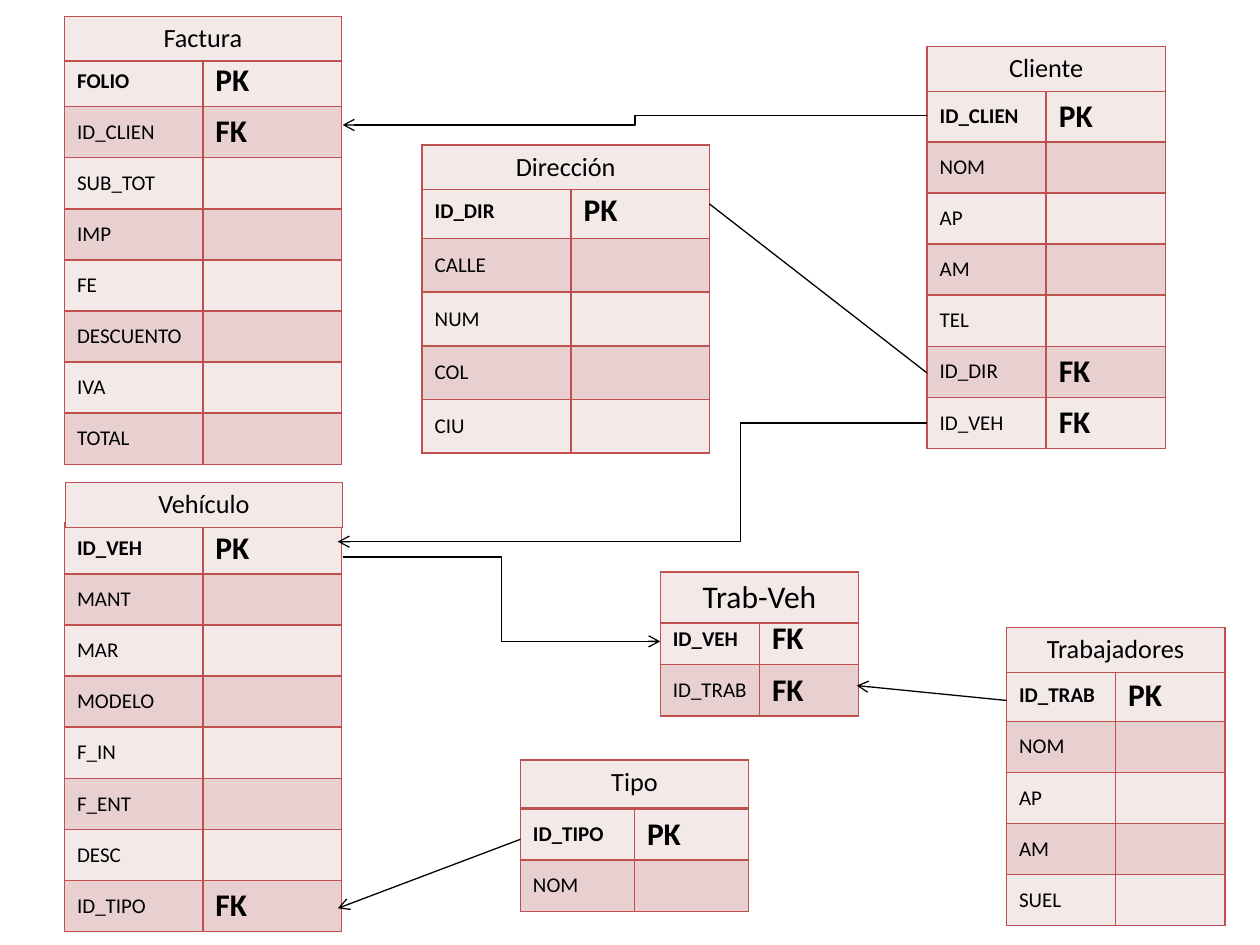
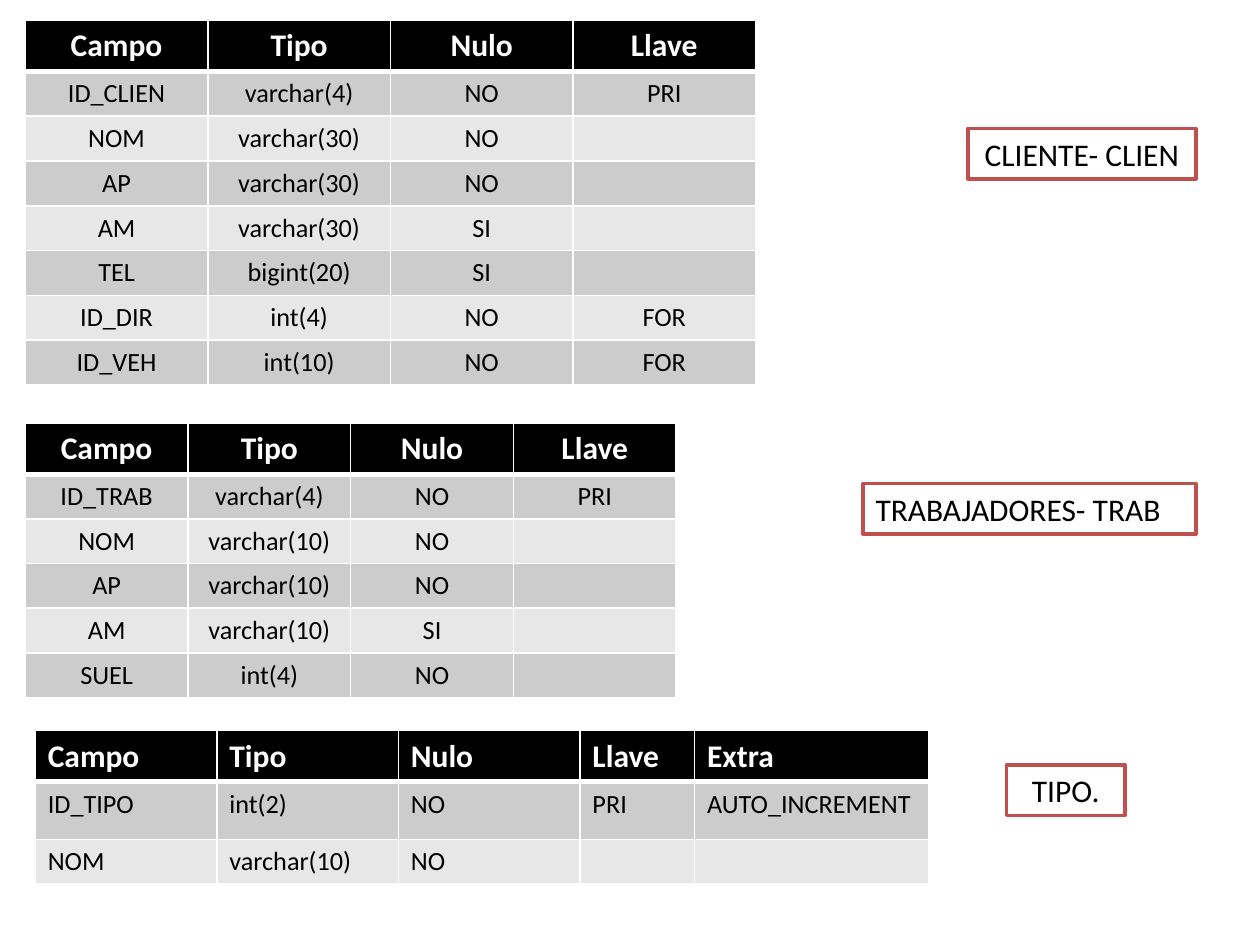
"""Builds two slides: an entity diagram of a workshop database and its field definitions."""
from lxml import etree
from pptx import Presentation
from pptx import util as u
from pptx.dml import color
from pptx.enum import shapes, text
from pptx.oxml import ns

RED, BLACK, WHITE = "C0504D", "000000", "FFFFFF"
ROSE = ("F4E9E9", "E8D0D0")
GREY = ("CCCCCC", "E7E7E7")
FONT = "Calibri"
CENTER, LEFT = text.PP_ALIGN.CENTER, text.PP_ALIGN.LEFT
TOP, MIDDLE = text.MSO_ANCHOR.TOP, text.MSO_ANCHOR.MIDDLE
ROW = 1.03
SMALL_ROW = 0.9


def rgb(value):
    """Turn a hex string into a colour."""
    return color.RGBColor.from_string(value)


def child(parent, tag, **attributes):
    """Append a drawing element."""
    return etree.SubElement(parent, ns.qn(f"a:{tag}"), **attributes)


class Deck:
    """Holds the shared style and the current slide."""

    def __init__(self):
        """Open an empty presentation of 4:3 slides."""
        self.presentation = Presentation()
        self.presentation.slide_width = u.Cm(25.4)
        self.presentation.slide_height = u.Cm(19.05)
        self.slide = None

    def new_slide(self):
        """Start a blank slide."""
        self.slide = self.presentation.slides.add_slide(self.presentation.slide_layouts[6])

    def fill_paragraph(self, paragraph, words, size, ink=BLACK, bold=False, align=LEFT):
        """Fill one paragraph, keeping the size of an empty one."""
        paragraph.alignment = align
        if not words:
            child(paragraph._p, "endParaRPr", sz=str(size * 100))
            return
        run = paragraph.add_run()
        run.text = words
        for name, value in {"name": FONT, "size": u.Pt(size), "bold": bold}.items():
            setattr(run.font, name, value)
        run.font.color.rgb = rgb(ink)

    def border(self, cell, ink, top, bottom):
        """Draw the four edges of a cell."""
        properties = cell._tc.get_or_add_tcPr()
        widths = {"lnL": 1, "lnR": 1, "lnT": top, "lnB": bottom}
        for index, (tag, width) in enumerate(widths.items()):
            edge = child(properties, tag, w=str(u.Pt(width)))
            child(child(edge, "solidFill"), "srgbClr", val=ink)
            properties.insert(index, edge)

    def table(self, left, top, widths, heights, rows, look, edge):
        """Add a table whose cell formats come from look(row, column)."""
        frame = self.slide.shapes.add_table(
            len(rows), len(widths), u.Cm(left), u.Cm(top), u.Cm(sum(widths)), u.Cm(sum(heights)))
        table = frame.table
        table.first_row = table.horz_banding = False
        for column, width in zip(table.columns, widths):
            column.width = u.Cm(width)
        for r, (row, height) in enumerate(zip(rows, heights)):
            table.rows[r].height = u.Cm(height)
            for c, words in enumerate(row):
                style = dict(look(r, c))
                cell = table.cell(r, c)
                cell.fill.solid()
                cell.fill.fore_color.rgb = rgb(style.pop("fill"))
                cell.vertical_anchor = style.pop("anchor", TOP)
                self.border(cell, edge, style.pop("over", 1), style.pop("under", 1))
                self.fill_paragraph(cell.text_frame.paragraphs[0], words, **style)

    def entity(self, left, top, widths, fields, row_height=ROW):
        """Add the field table of an entity; fields read 'NAME KEY'."""
        def look(r, c):
            style = {"fill": ROSE[r % 2]}
            if c:
                return style | {"size": 18, "bold": True}
            return style | {"size": 12, "bold": r == 0, "anchor": MIDDLE}

        rows = [field.partition(" ")[::2] for field in fields.split("|")]
        self.table(left, top, widths, [row_height] * len(rows), rows, look, RED)

    def entity_title(self, left, top, width, name, size=15, height=SMALL_ROW):
        """Add the one-cell heading of an entity."""
        style = {"fill": ROSE[0], "size": size, "align": CENTER}
        self.table(left, top, [width], [height], [[name]], lambda r, c: style, RED)

    def definition(self, left, top, widths, heights, lines, align=CENTER):
        """Add a field definition table with a black header."""
        def look(r, c):
            if r == 0:
                return {"fill": BLACK, "size": 18, "ink": WHITE, "bold": True,
                        "align": align, "under": 3}
            return {"fill": GREY[(r - 1) % 2], "size": 15, "align": align,
                    "over": 3 if r == 1 else 1}

        rows = [line.split("|") for line in lines]
        self.table(left, top, widths, heights, rows, look, WHITE)

    def relation(self, begin, end, bent=False, arrow=True, bend=None):
        """Join two points with a straight or bent line."""
        kind = shapes.MSO_CONNECTOR.ELBOW if bent else shapes.MSO_CONNECTOR.STRAIGHT
        connector = self.slide.shapes.add_connector(kind, *map(u.Cm, begin + end))
        connector.line.color.rgb = rgb(BLACK)
        connector.line.width = u.Pt(0.75)
        properties = connector._element.spPr
        if arrow:
            child(properties.find(ns.qn("a:ln")), "tailEnd", type="arrow")
        if bend:
            guides = properties.find(ns.qn("a:prstGeom")).find(ns.qn("a:avLst"))
            child(guides, "gd", name="adj1", fmla=f"val {bend}")
        child(properties, "effectLst")

    def label(self, left, top, width, words, align=CENTER):
        """Add a red-framed table name."""
        shape = self.slide.shapes.add_shape(
            shapes.MSO_SHAPE.RECTANGLE, u.Cm(left), u.Cm(top), u.Cm(width), u.Cm(1.02))
        shape.shadow.inherit = False
        shape.fill.solid()
        shape.fill.fore_color.rgb = rgb(WHITE)
        shape.line.color.rgb = rgb(RED)
        shape.line.width = u.Pt(2)
        frame = shape.text_frame
        settings = {"word_wrap": True, "vertical_anchor": TOP,
                    "auto_size": text.MSO_AUTO_SIZE.SHAPE_TO_FIT_TEXT}
        for name, value in settings.items():
            setattr(frame, name, value)
        self.fill_paragraph(frame.paragraphs[0], words, 18, align=align)


def diagram(deck):
    """Draw the entities and their relations."""
    deck.new_slide()
    deck.entity(18.69, 1.83, [2.4] * 2, "ID_CLIEN PK|NOM|AP|AM|TEL|ID_DIR FK|ID_VEH FK")
    deck.entity(8.51, 3.73, [3, 2.79], "ID_DIR PK|CALLE|NUM|COL|CIU", 1.08)
    deck.entity(1.3, 1.12, [2.79] * 2,
                "FOLIO PK|ID_CLIEN FK|SUB_TOT|IMP|FE|DESCUENTO|IVA|TOTAL")
    deck.entity(1.3, 10.54, [2.79] * 2,
                "ID_VEH PK|MANT|MAR|MODELO|F_IN|F_ENT|DESC|ID_TIPO FK")
    deck.entity(10.49, 16.31, [2.3] * 2, "ID_TIPO PK|NOM")
    deck.entity(20.29, 13.51, [2.2] * 2, "ID_TRAB PK|NOM|AP|AM|SUEL")
    deck.entity(13.31, 12.37, [2] * 2, "ID_VEH FK|ID_TRAB FK")

    deck.relation((10.49, 16.92), (6.81, 18.31))
    deck.relation((14.3, 4.11), (18.69, 7.52), arrow=False)
    deck.relation((18.69, 8.53), (6.81, 10.92), bent=True, bend=31600)
    deck.relation((20.29, 14.12), (17.27, 13.82))
    deck.relation((18.69, 2.33), (6.91, 2.52), bent=True)
    deck.relation((6.91, 11.23), (13.31, 12.93), bent=True)

    deck.entity_title(8.51, 2.92, 5.79, "Dirección")
    deck.entity_title(1.3, 0.33, 5.58, "Factura")
    deck.entity_title(18.69, 0.94, 4.8, "Cliente")
    deck.entity_title(10.49, 15.32, 4.6, "Tipo", height=0.97)
    deck.entity_title(20.29, 12.65, 4.4, "Trabajadores")
    deck.entity_title(1.32, 9.73, 5.58, "Vehículo")
    deck.entity_title(13.31, 11.53, 4, "Trab-Veh", size=18, height=ROW)


def definitions(deck):
    """List the fields of three tables."""
    deck.new_slide()
    header = "Campo|Tipo|Nulo|Llave"
    deck.definition(0.51, 0.41, [3.68] * 4, [ROW] + [SMALL_ROW] * 7, [
        header,
        "ID_CLIEN|varchar(4)|NO|PRI",
        "NOM|varchar(30)|NO|",
        "AP|varchar(30)|NO|",
        "AM|varchar(30)|SI|",
        "TEL|bigint(20)|SI|",
        "ID_DIR|int(4)|NO|FOR",
        "ID_VEH|int(10)|NO|FOR",
    ])
    deck.label(19.51, 2.59, 4.6, "CLIENTE- CLIEN")
    deck.definition(0.51, 8.53, [3.28] * 4, [ROW] + [SMALL_ROW] * 5, [
        header,
        "ID_TRAB|varchar(4)|NO|PRI",
        "NOM|varchar(10)|NO|",
        "AP|varchar(10)|NO|",
        "AM|varchar(10)|SI|",
        "SUEL|int(4)|NO|",
    ])
    deck.label(17.4, 9.75, 6.71, "TRABAJADORES- TRAB", LEFT)
    deck.definition(0.71, 14.73, [3.66] * 3 + [2.31, 4.72], [ROW, 1.16, SMALL_ROW], [
        header + "|Extra",
        "ID_TIPO|int(2)|NO|PRI|AUTO_INCREMENT",
        "NOM|varchar(10)|NO||",
    ], LEFT)
    deck.label(20.29, 15.42, 2.39, "TIPO.")


deck = Deck()
diagram(deck)
definitions(deck)
deck.presentation.save("out.pptx")
